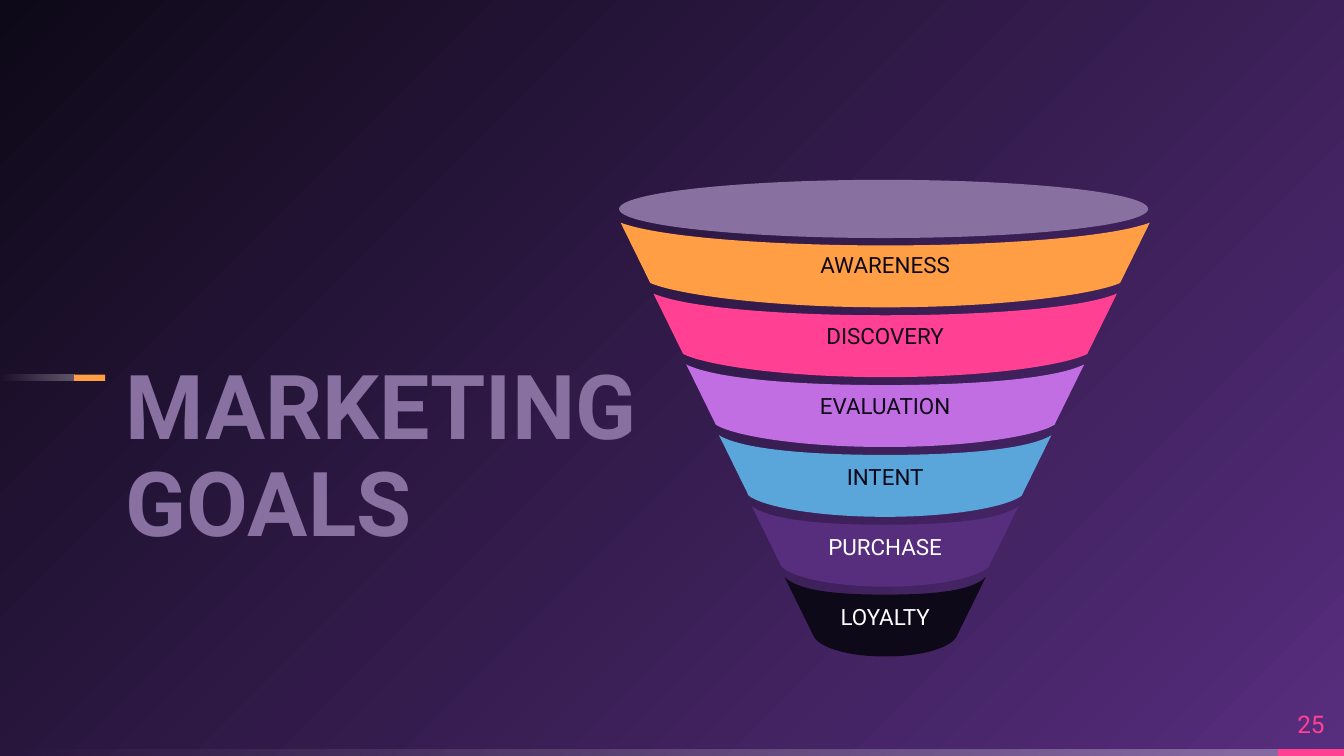
import lxml.etree
import pptx
import pptx.dml.color
import pptx.enum.shapes
import pptx.enum.text
import pptx.oxml.ns
import pptx.util

Cm = pptx.util.Cm
Pt = pptx.util.Pt
qn = pptx.oxml.ns.qn
MSO_SHAPE = pptx.enum.shapes.MSO_SHAPE
ALIGN = pptx.enum.text.PP_ALIGN
ANCHOR = pptx.enum.text.MSO_ANCHOR


def color(value):
    return pptx.dml.color.RGBColor.from_string(value)


def bend_lines(shape, first_lines):
    lines = list(shape.element.iter(qn("a:lnTo")))
    for first in first_lines:
        curve = lxml.etree.Element(qn("a:cubicBezTo"))
        lines[first].addprevious(curve)
        for line in lines[first:first + 3]:
            curve.append(line[0])
            line.getparent().remove(line)


presentation = pptx.Presentation()
presentation.slide_width = Cm(25.4)
presentation.slide_height = Cm(14.29)
slide = presentation.slides.add_slide(presentation.slide_layouts[0])

background_fill = slide.background.fill
background_fill.gradient()
for stop, value in zip(background_fill.gradient_stops, ("572D7E", "0E0918")):
    stop.color.rgb = color(value)
gradient = next(slide.element.iter(qn("a:gradFill")))
gradient.remove(gradient.find(qn("a:lin")))
gradient_path = lxml.etree.SubElement(gradient, qn("a:path"), {"path": "circle"})
lxml.etree.SubElement(gradient_path, qn("a:fillToRect"), {"l": "100000", "t": "100000"})

bars = [
    (0, 14.16, 24.23, 0.13, None),
    (24.15, 14.16, 1.25, 0.13, "FF4093"),
    (0, 7.08, 1.41, 0.12, None),
    (1.4, 7.08, 0.59, 0.12, "FF9E44"),
]
for left, top, width, height, value in bars:
    bar = slide.shapes.add_shape(MSO_SHAPE.RECTANGLE, Cm(left), Cm(top), Cm(width), Cm(height))
    bar.shadow.inherit = False
    bar.line.fill.background()
    if value:
        bar.fill.solid()
        bar.fill.fore_color.rgb = color(value)
        continue
    bar.fill.gradient()
    bar.fill.gradient_angle = 180
    for stop in bar.fill.gradient_stops:
        stop.color.rgb = color("FFFFFF")
    for white, alpha in zip(bar.element.iter(qn("a:srgbClr")), ("30000", "0")):
        lxml.etree.SubElement(white, qn("a:alpha"), {"val": alpha})

subtitle = slide.placeholders[1].element
subtitle.getparent().remove(subtitle)
title = slide.shapes.title
title.left, title.top, title.width, title.height = Cm(2.38), Cm(3.8), Cm(14.2), Cm(6.71)
page_number = slide.shapes.add_textbox(Cm(24.15), Cm(13.2), Cm(1.25), Cm(0.97))

labels = [
    (title, "MARKETING GOALS", 48, "8870A0", True, ALIGN.LEFT, ANCHOR.BOTTOM),
    (page_number, "25", 13, "FF4093", False, ALIGN.CENTER, ANCHOR.MIDDLE),
]

center = 16.73
bands = [
    ("AWARENESS", "FF9E44", "0E0918"),
    ("DISCOVERY", "FF4093", "0E0918"),
    ("EVALUATION", "C06EE2", "0E0918"),
    ("INTENT", "5AA5DA", "0E0918"),
    ("PURCHASE", "572D7E", "FFFFFF"),
    ("LOYALTY", "0E0918", "FFFFFF"),
]
for index, (text, fill_value, text_value) in enumerate(bands):
    top_half = 5 - 0.62 * index
    bottom_half = top_half - 0.56
    top = 4.21 + 1.34 * index
    top_middle = 4.64 + 1.32 * index
    corner = top + 1.14
    bottom = top_middle + 1.17
    lower = [(-bottom_half, corner), (-0.9 * bottom_half, corner + 0.2), (-0.52 * bottom_half, bottom)]
    upper = [(-top_half, top), (-0.85 * top_half, top + 0.28), (-0.42 * top_half, top_middle)]
    outline = upper[:1] + lower + [(0, bottom)] + [(-x, y) for x, y in reversed(lower)]
    outline += [(-x, y) for x, y in upper] + [(0, top_middle)] + upper[::-1]
    points = [(Cm(center + x), Cm(y)) for x, y in outline]
    builder = slide.shapes.build_freeform(*points[0])
    builder.add_line_segments(points[1:], close=True)
    band = builder.convert_to_shape()
    bend_lines(band, (1, 4, 8, 11))
    band.shadow.inherit = False
    band.fill.solid()
    band.fill.fore_color.rgb = color(fill_value)
    band.line.fill.background()
    labels.append((band, text, 12, text_value, False, ALIGN.CENTER, ANCHOR.MIDDLE))

funnel_opening = slide.shapes.add_shape(MSO_SHAPE.OVAL, Cm(11.7), Cm(3.4), Cm(10), Cm(1.1))
funnel_opening.shadow.inherit = False
funnel_opening.fill.solid()
funnel_opening.fill.fore_color.rgb = color("8870A0")
funnel_opening.line.fill.background()

for shape, text, size, value, bold, alignment, anchor in labels:
    frame = shape.text_frame
    frame.text = text
    frame.word_wrap = True
    frame.auto_size = pptx.enum.text.MSO_AUTO_SIZE.NONE
    frame.vertical_anchor = anchor
    frame.margin_left = frame.margin_right = frame.margin_top = frame.margin_bottom = 0
    paragraph = frame.paragraphs[0]
    paragraph.alignment = alignment
    font = paragraph.runs[0].font
    font.name = "Roboto"
    font.size = Pt(size)
    font.bold = bold
    font.color.rgb = color(value)
title.text_frame.paragraphs[0].line_spacing = 0.9

presentation.save("out.pptx")
